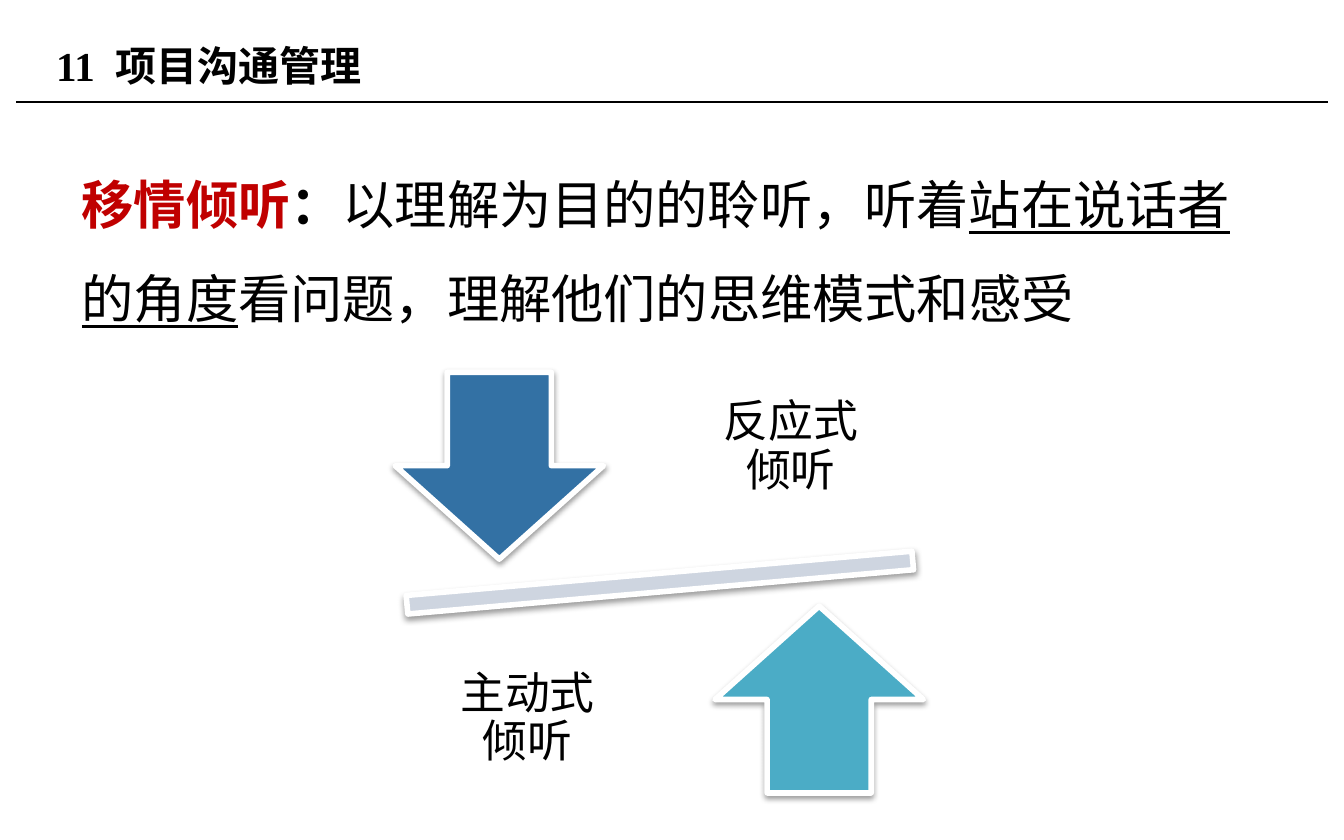
import pptx
import pptx.util
import pptx.dml.color
import pptx.enum.shapes
import pptx.enum.text
import pptx.oxml
import pptx.oxml.ns
import lxml.etree

Inches = pptx.util.Inches
Pt = pptx.util.Pt
SHAPE = pptx.enum.shapes.MSO_SHAPE
ANCHOR = pptx.enum.text.MSO_ANCHOR
ALIGN = pptx.enum.text.PP_ALIGN

COLORS = {
    "text": "000000",
    "accent": "C00000",
    "outline": "FFFFFF",
    "beam": "CED5E0",
    "down": "3371A4",
    "up": "4BACC6",
}
SERIF = "Times New Roman"
SANS = "Cabin"


def rgb(name):
    return pptx.dml.color.RGBColor.from_string(COLORS[name])


class SlideBuilder:
    """Holds the current slide and the style shared by its elements."""

    def __init__(self, slide):
        self.s = slide

    def rule(self, x1, x2, y):
        line = self.s.shapes.add_connector(
            pptx.enum.shapes.MSO_CONNECTOR.STRAIGHT,
            Inches(x1), Inches(y), Inches(x2), Inches(y))
        line.line.color.rgb = rgb("text")
        line.line.width = Pt(0.75)
        lxml.etree.SubElement(line._element.spPr, pptx.oxml.ns.qn("a:effectLst"))

    def text(self, box, runs, size, font, anchor=ANCHOR.TOP, align=ALIGN.LEFT,
             spacing=1.0, inset=None):
        """Each run is (text, options); options: bold, underline, color, gap (points)."""
        tf = self.s.shapes.add_textbox(*map(Inches, box)).text_frame
        tf.word_wrap = True
        tf.vertical_anchor = anchor
        if inset is not None:
            tf.margin_left = tf.margin_right = Inches(inset)
            tf.margin_top = tf.margin_bottom = Inches(inset)
        p = tf.paragraphs[0]
        p.alignment = align
        p.line_spacing = spacing
        for words, options in runs:
            r = p.add_run()
            r.text = words
            r.font.size = Pt(size)
            r.font.name = font
            r.font.bold = options.get("bold", False)
            r.font.underline = options.get("underline", False)
            r.font.color.rgb = rgb(options.get("color", "text"))
            if "gap" in options:
                r._r.get_or_add_rPr().set("spc", str(int(options["gap"] * 100)))

    def label(self, x, y, words):
        self.text((x, y, 1.65, 1.46), [(words, {})], 24, SANS,
                  ANCHOR.MIDDLE, ALIGN.CENTER, 0.9, 0.19)

    def shape(self, kind, box, fill, rotation=0):
        sp = self.s.shapes.add_shape(kind, *map(Inches, box))
        sp.rotation = rotation
        sp.fill.solid()
        sp.fill.fore_color.rgb = rgb(fill)
        sp.line.color.rgb = rgb("outline")
        sp.line.width = Pt(3)
        self.drop_shadow(sp)

    def drop_shadow(self, sp):
        sp.shadow.inherit = False
        effects = sp._element.spPr.find(pptx.oxml.ns.qn("a:effectLst"))
        effects.append(pptx.oxml.parse_xml(
            f'<a:outerShdw {pptx.oxml.ns.nsdecls("a")} blurRad="{Pt(3.1)}" '
            f'dist="{Pt(1.6)}" dir="5400000" rotWithShape="0">'
            f'<a:srgbClr val="{COLORS["text"]}"><a:alpha val="38000"/></a:srgbClr>'
            '</a:outerShdw>'))


def main():
    prs = pptx.Presentation()
    prs.slide_width, prs.slide_height = Inches(10), Inches(6.25)
    b = SlideBuilder(prs.slides.add_slide(prs.slide_layouts[6]))

    b.rule(0.12, 9.88, 0.76)
    b.text((0.32, 0.13, 6.38, 0.71), [
        ("11", {"bold": True}),
        (" ", {"bold": True, "gap": 5.5}),
        ("项目沟通管理", {"bold": True}),
    ], 22, SERIF, ANCHOR.MIDDLE)
    b.text((0.51, 1, 8.98, 3.9), [
        ("移情倾听", {"bold": True, "color": "accent"}),
        ("：", {"bold": True}),
        ("以理解为目的的聆听，听着", {}),
        ("站在说话者的角度", {"underline": True}),
        ("看问题，理解他们的思维模式和感受", {}),
    ], 28, SERIF, spacing=1.5)

    b.shape(SHAPE.MATH_MINUS, (2.34, 4.04, 5.14, 0.59), "beam", rotation=-5)
    b.shape(SHAPE.DOWN_ARROW, (2.94, 2.77, 1.55, 1.39), "down")
    b.label(5.06, 2.6, "反应式倾听")
    b.shape(SHAPE.UP_ARROW, (5.32, 4.51, 1.55, 1.39), "up")
    b.label(3.1, 4.62, "主动式倾听")

    prs.save("out.pptx")


if __name__ == "__main__":
    main()
